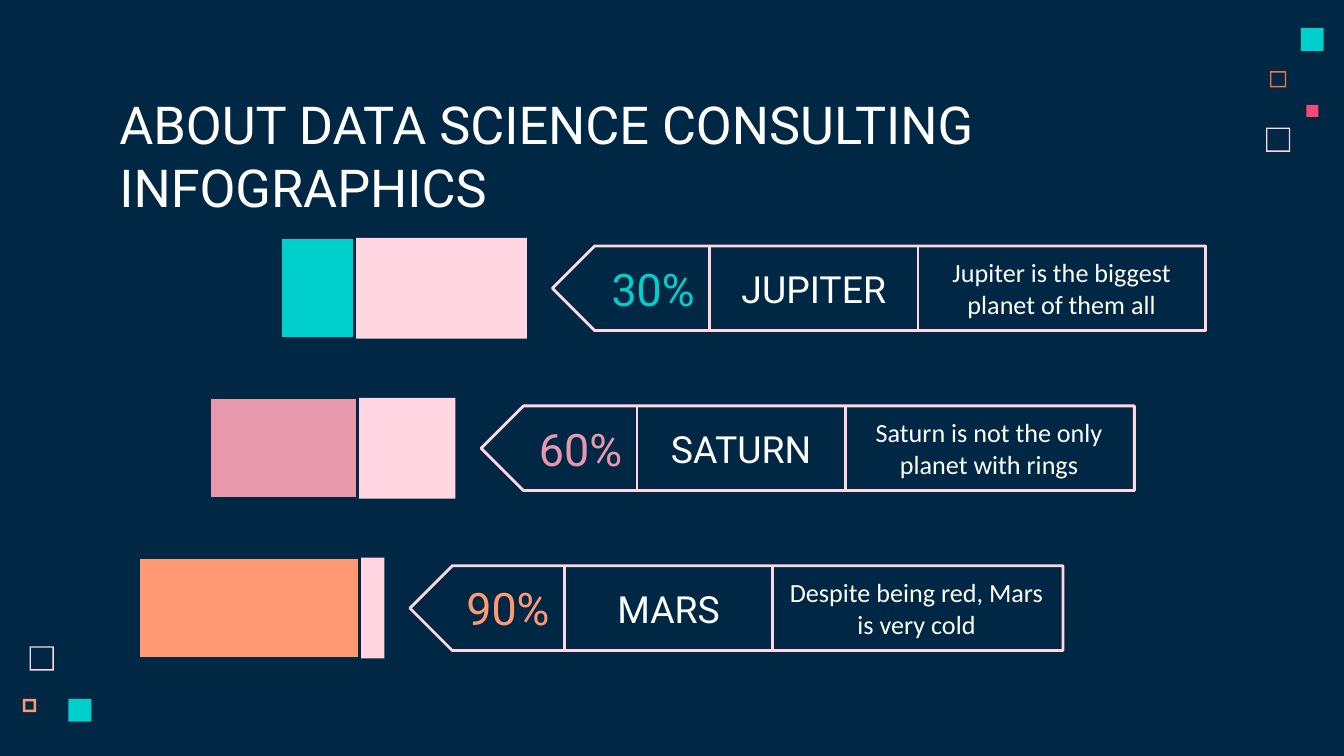
from dataclasses import dataclass

from lxml import etree
from pptx import Presentation
from pptx import util as u
from pptx.dml.color import RGBColor
from pptx.enum import shapes, text
from pptx.oxml import ns

NAVY, WHITE, PINK = "002845", "FFFFFF", "FFD6E1"
TEAL, ROSE, ORANGE = "00CFCC", "E898AC", "FF9973"
LINE_WIDTH = 1.5

# Layout of the rows, in inches
PLATE_LEFT, PLATE_TOP, PLATE_WIDTH, PLATE_HEIGHT = 4.11, 1.83, 4.86, 0.63
ROW_SHIFT, ROW_PITCH = 0.53, 1.19
DIVIDER_LEFT, DIVIDER_SHIFT = 5.28, 0.54
PERCENT_WIDTH, NAME_WIDTH, DETAIL_WIDTH = 0.84, 1.55, 2.14
TEXT_INSET, TEXT_HEIGHT = 0.05, 0.53
BAR_GAP, BAR_RISE, BAR_WIDTH, BAR_HEIGHT = 2.02, 0.06, 1.83, 0.75


@dataclass
class Square:
    left: float
    top: float
    size: float
    color: str
    border: float = 0  # zero means a solid square


@dataclass
class Planet:
    name: str
    percent: int
    detail: str
    color: str


SQUARES = [
    Square(9.42, 0.95, 0.18, PINK, 0.01),
    Square(9.45, 0.53, 0.12, "FC723F", 0.01),
    Square(9.68, 0.21, 0.17, TEAL),
    Square(0.17, 5.2, 0.1, ORANGE, 0.02),
    Square(9.72, 0.78, 0.09, "F64975"),
    Square(0.22, 4.81, 0.18, PINK, 0.01),
    Square(0.51, 5.2, 0.17, TEAL),
]
PLANETS = [
    Planet("JUPITER", 30, "Jupiter is the biggest planet of them all", TEAL),
    Planet("SATURN", 60, "Saturn is not the only planet with rings", ROSE),
    Planet("MARS", 90, "Despite being red, Mars is very cold", ORANGE),
]


def rgb(color: str) -> RGBColor:
    return RGBColor.from_string(color)


def style_shape(shape, fill: str = "", line: str = "") -> None:
    shape.shadow.inherit = False
    if fill:
        shape.fill.solid()
        shape.fill.fore_color.rgb = rgb(fill)
    else:
        shape.fill.background()
    if line:
        shape.line.color.rgb = rgb(line)
        shape.line.width = u.Pt(LINE_WIDTH)
    else:
        shape.line.fill.background()


def add_preset(slide, kind, left: float, top: float, width: float, height: float,
               fill: str = "", line: str = ""):
    shape = slide.shapes.add_shape(
        kind, u.Inches(left), u.Inches(top), u.Inches(width), u.Inches(height))
    style_shape(shape, fill, line)
    return shape


def add_square(slide, square: Square) -> None:
    if not square.border:
        add_preset(slide, shapes.MSO_SHAPE.RECTANGLE, square.left, square.top,
                   square.size, square.size, square.color)
        return
    left, top = u.Inches(square.left), u.Inches(square.top)
    size, border = u.Inches(square.size), u.Inches(square.border)
    far = size - border
    builder = slide.shapes.build_freeform(left, top, scale=1.0)
    builder.add_line_segments(
        [(left, top + size), (left + size, top + size), (left + size, top)])
    # Inner contour runs the other way and cuts the hole
    builder.move_to(left + border, top + border)
    builder.add_line_segments(
        [(left + far, top + border), (left + far, top + far), (left + border, top + far)])
    style_shape(builder.convert_to_shape(), square.color)


def add_text(slide, content: str, left: float, top: float, width: float, height: float,
             size: float, color: str = WHITE, font: str = "Roboto",
             align=text.PP_ALIGN.CENTER, anchor=text.MSO_ANCHOR.MIDDLE) -> None:
    box = slide.shapes.add_textbox(
        u.Inches(left), u.Inches(top), u.Inches(width), u.Inches(height))
    frame = box.text_frame
    frame.word_wrap = True
    frame.vertical_anchor = anchor
    frame.margin_left = frame.margin_right = u.Inches(0.1)
    frame.margin_top = frame.margin_bottom = u.Inches(0.1)
    frame.text = content
    paragraph = frame.paragraphs[0]
    paragraph.alignment = align
    run_font = paragraph.runs[0].font
    run_font.name, run_font.size = font, u.Pt(size)
    run_font.color.rgb = rgb(color)


def add_divider(slide, left: float, top: float) -> None:
    line = slide.shapes.add_connector(
        shapes.MSO_CONNECTOR.STRAIGHT, u.Inches(left), u.Inches(top),
        u.Inches(left), u.Inches(top + PLATE_HEIGHT))
    line.line.color.rgb = rgb(PINK)
    line.line.width = u.Pt(LINE_WIDTH)
    etree.SubElement(line._element.spPr, ns.qn("a:effectLst"))


def add_planet(slide, planet: Planet, row: int) -> None:
    left = PLATE_LEFT - row * ROW_SHIFT
    top = PLATE_TOP + row * ROW_PITCH
    first = DIVIDER_LEFT - row * DIVIDER_SHIFT
    second = first + NAME_WIDTH

    # Label pointing left
    plate = add_preset(slide, shapes.MSO_SHAPE.PENTAGON, left, top,
                       PLATE_WIDTH, PLATE_HEIGHT, line=PINK)
    plate.rotation = 180
    text_top = top + TEXT_INSET
    add_text(slide, f"{planet.percent}%", first - PERCENT_WIDTH, text_top,
             PERCENT_WIDTH, TEXT_HEIGHT, 24, planet.color)
    add_text(slide, planet.name, first, text_top, NAME_WIDTH, TEXT_HEIGHT, 20)
    add_text(slide, planet.detail, second, text_top, DETAIL_WIDTH, TEXT_HEIGHT,
             14, font="Calibri")
    for divider in (first, second):
        add_divider(slide, divider, top)

    # Full bar, then the share that is reached
    bar_left, bar_top = left - BAR_GAP, top - BAR_RISE
    add_preset(slide, shapes.MSO_SHAPE.RECTANGLE, bar_left, bar_top,
               BAR_WIDTH, BAR_HEIGHT, PINK)
    add_preset(slide, shapes.MSO_SHAPE.RECTANGLE, bar_left, bar_top,
               BAR_WIDTH * planet.percent / 100, BAR_HEIGHT, planet.color, NAVY)


def main() -> None:
    presentation = Presentation()
    presentation.slide_width = u.Inches(10)
    presentation.slide_height = u.Inches(10 * 9 / 16)
    slide = presentation.slides.add_slide(presentation.slide_layouts[6])
    slide.background.fill.solid()
    slide.background.fill.fore_color.rgb = rgb(NAVY)

    # Corner decoration
    for square in SQUARES:
        add_square(slide, square)

    # Title
    add_text(slide, "ABOUT DATA SCIENCE CONSULTING INFOGRAPHICS", 0.79, 0.59, 8.43, 0.63,
             28, align=text.PP_ALIGN.LEFT, anchor=text.MSO_ANCHOR.TOP)

    # Planet rows
    for row, planet in enumerate(PLANETS):
        add_planet(slide, planet, row)

    presentation.save("out.pptx")


if __name__ == "__main__":
    main()
